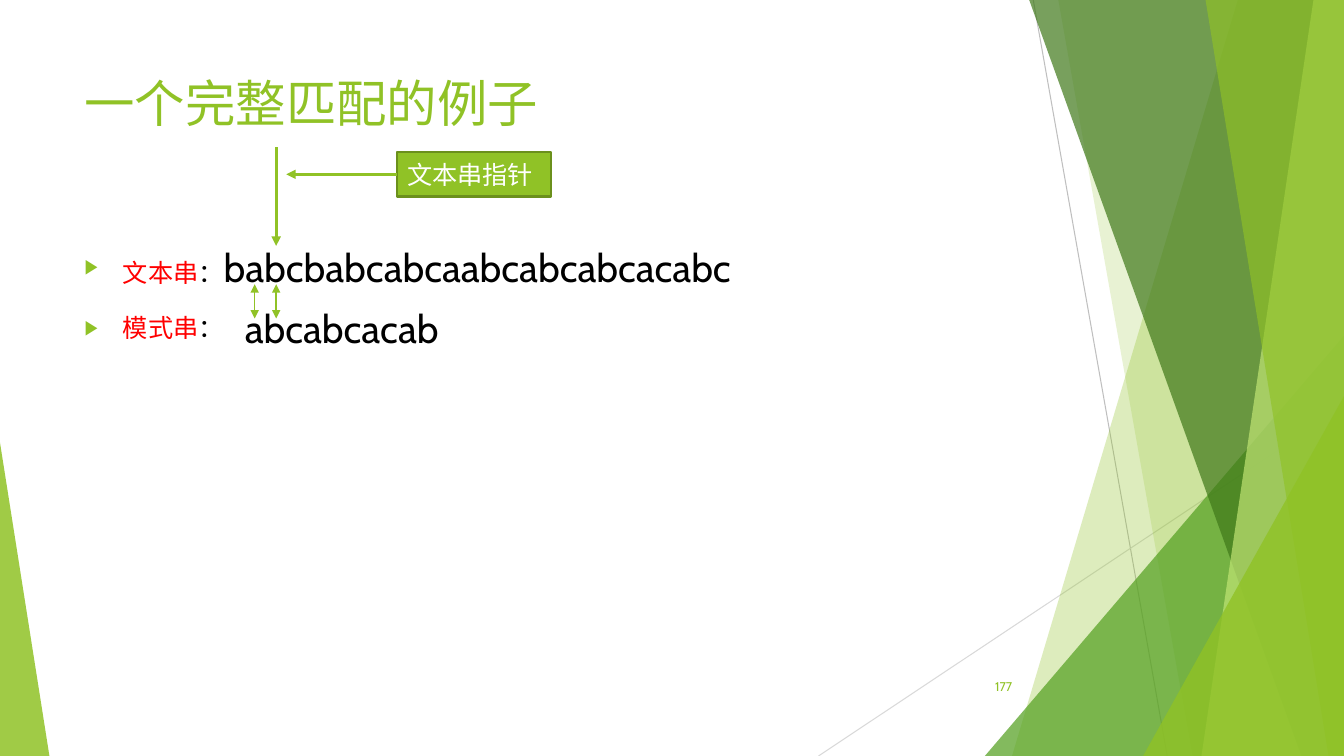
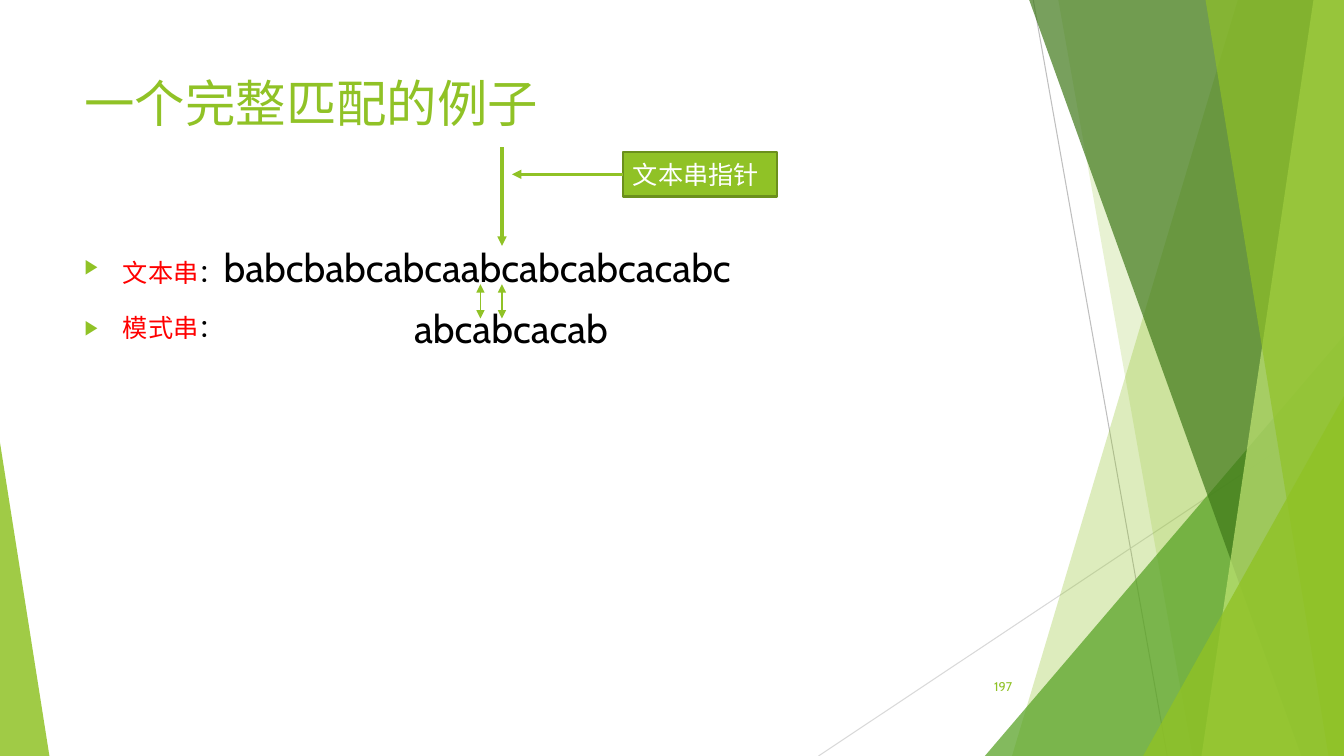
import pptx
import pptx.dml.color
import pptx.enum.shapes
import pptx.enum.text
import pptx.oxml.ns
import pptx.util
from lxml import etree

SHAPE = pptx.enum.shapes.MSO_SHAPE
ANCHOR = pptx.enum.text.MSO_ANCHOR
ALIGN = pptx.enum.text.PP_ALIGN
qn = pptx.oxml.ns.qn

WIDTH, HEIGHT = pptx.util.Inches(13.333), pptx.util.Inches(7.5)
FONT = "Cabin"
GREEN, DARK_GREEN, RED, BLACK, WHITE = "90C226", "6B901C", "FF0000", "000000", "FFFFFF"

# All positions and sizes are percentages of the slide's width and height.
LEFT, CONTENT_WIDTH = 5.55, 70.5
HAIRLINES = [((76.88, 0), (86.85, 100), "BFBFBF"),
             ((100, 53.73), (60.9, 100), "D9D9D9")]
# Bands run from a slanted left side (top x, bottom x) to the right edge.
# Corners are right triangles (left, top, width, apex position).
FACETS = [("band", (92.1, 75.3), GREEN, 30),
          ("band", (78.75, 88.73), GREEN, 20),
          ("corner", (73.28, 44.4, 26.72, 1), "54A021", 72),
          ("band", (76.58, 96.83), "3F7819", 70),
          ("band", (97.73, 89.4), "C0E474", 70),
          ("band", (89.7, 98.85), GREEN, 65),
          ("corner", (85.05, 52.4, 14.95, 1), GREEN, 80),
          ("corner", (0, 58.53, 3.68, 0), GREEN, 85)]


def x(share):
    return round(WIDTH * share / 100)


def y(share):
    return round(HEIGHT * share / 100)


def frame(left, top, width, height):
    return x(left), y(top), x(width), y(height)


def rgb(value):
    return pptx.dml.color.RGBColor.from_string(value)


def paint(sp, color, opacity=100, border=None):
    sp.shadow.inherit = False
    sp.fill.solid()
    sp.fill.fore_color.rgb = rgb(color)
    if opacity < 100:
        clr = sp.fill._xPr.find(qn("a:solidFill"))[0]
        etree.SubElement(clr, qn("a:alpha"), val=str(opacity * 1000))
    if border:
        sp.line.color.rgb = rgb(border)
        sp.line.width = pptx.util.Pt(1.5)
    else:
        sp.line.fill.background()


def add_line(s, start, end, color, width, heads=()):
    """Draw a straight line; heads names its arrow ends, headEnd before tailEnd."""
    line = s.shapes.add_connector(pptx.enum.shapes.MSO_CONNECTOR.STRAIGHT,
                                  x(start[0]), y(start[1]), x(end[0]), y(end[1]))
    line.line.color.rgb = rgb(color)
    line.line.width = pptx.util.Pt(width)
    ln = line.line._get_or_add_ln()
    for head in heads:
        etree.SubElement(ln, qn("a:" + head), type="triangle")
    etree.SubElement(line._element.spPr, qn("a:effectLst"))
    return line


def add_band(s, sides, color, opacity):
    top_x, bottom_x = sides
    builder = s.shapes.build_freeform(x(top_x), 0)
    builder.add_line_segments([(WIDTH, 0), (WIDTH, HEIGHT), (x(bottom_x), HEIGHT)])
    paint(builder.convert_to_shape(), color, opacity)


def add_corner(s, placing, color, opacity):
    left, top, width, apex = placing
    sp = s.shapes.add_shape(SHAPE.ISOSCELES_TRIANGLE,
                            *frame(left, top, width, 100 - top))
    sp.adjustments[0] = apex
    paint(sp, color, opacity)


def add_bullet(p):
    pPr = p._p.get_or_add_pPr()
    indent = pptx.util.Inches(0.38)
    pPr.set("marL", str(indent))
    pPr.set("indent", str(-indent))
    color = etree.SubElement(pPr, qn("a:buClr"))
    etree.SubElement(color, qn("a:srgbClr"), val=GREEN)
    etree.SubElement(pPr, qn("a:buSzPct"), val="80000")
    etree.SubElement(pPr, qn("a:buFont"), typeface="Arial")
    etree.SubElement(pPr, qn("a:buChar"), char="▶")


def write(p, text, size=18, color=BLACK):
    r = p.add_run()
    r.text = text
    r.font.name = FONT
    r.font.size = pptx.util.Pt(size)
    r.font.color.rgb = rgb(color)


def add_text(s, box, text, anchor=ANCHOR.TOP, align=ALIGN.LEFT, **style):
    tf = s.shapes.add_textbox(*frame(*box)).text_frame
    tf.word_wrap = True
    tf.vertical_anchor = anchor
    p = tf.paragraphs[0]
    p.alignment = align
    if text:
        write(p, text, **style)
    return tf


def add_frame(s, title, number):
    """Draw what every slide shares: facets, title and slide number."""
    for start, end, color in HAIRLINES:
        add_line(s, start, end, color, 0.75)
    draw = {"band": add_band, "corner": add_corner}
    for kind, outline, color, opacity in FACETS:
        draw[kind](s, outline, color, opacity)
    add_text(s, (LEFT, 8.93, CONTENT_WIDTH, 19.2), title, size=36, color=GREEN)
    add_text(s, (70.43, 88.13, 5.62, 5.33), number, anchor=ANCHOR.MIDDLE,
             align=ALIGN.RIGHT, size=9, color=GREEN)


def add_strings(s, pattern_left):
    """Write the text string and, below it, the pattern at its current shift."""
    tf = add_text(s, (LEFT, 31.47, CONTENT_WIDTH, 56.53), "")
    text_row, pattern_row = tf.paragraphs[0], tf.add_paragraph()
    for p, label in ((text_row, "文本串"), (pattern_row, "模式串")):
        add_bullet(p)
        write(p, label, color=RED)
        write(p, "：")
    write(text_row, "babcbabcabcaabcabcabcacabc", size=28)
    pattern_row.space_before = pptx.util.Pt(16)
    add_text(s, (pattern_left, 39.6, 18, 8), "abcabcacab", size=28)


def add_pointer(s, at):
    """Mark the compared letters and the labelled pointer at one x position."""
    for compared in (at - 1.6, at):
        add_line(s, (compared, 37.6), (compared, 42.13), GREEN, 1,
                 ("headEnd", "tailEnd"))
    top, height = 20.13, 5.87
    label = s.shapes.add_shape(SHAPE.RECTANGLE, *frame(at + 9, top, 11.48, height))
    paint(label, GREEN, border=DARK_GREEN)
    tf = label.text_frame
    tf.vertical_anchor = ANCHOR.MIDDLE
    p = tf.paragraphs[0]
    p.alignment = ALIGN.LEFT
    write(p, "文本串指针", color=WHITE)
    middle = top + height / 2
    arrow = add_line(s, (at + 9, middle), (at + 0.75, middle), GREEN, 2.25, ("tailEnd",))
    arrow.begin_connect(label, 1)
    add_line(s, (at, 19.47), (at, 32.53), GREEN, 2.25, ("tailEnd",))


def main():
    prs = pptx.Presentation()
    prs.slide_width, prs.slide_height = WIDTH, HEIGHT
    steps = [("177", 17.48, 20.55), ("197", 30.08, 37.35)]
    for number, pattern_left, pointer in steps:
        s = prs.slides.add_slide(prs.slide_layouts[6])
        add_frame(s, "一个完整匹配的例子", number)
        add_strings(s, pattern_left)
        add_pointer(s, pointer)
    prs.save("out.pptx")


if __name__ == "__main__":
    main()
